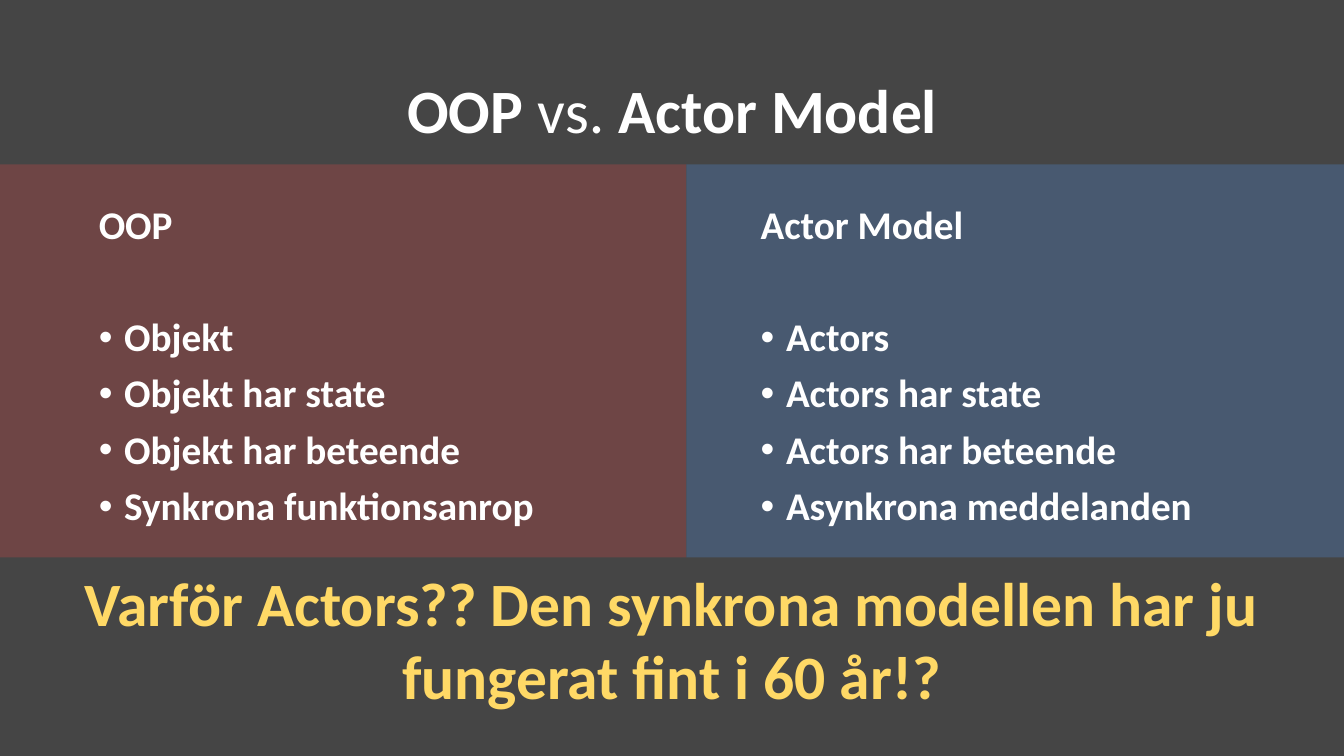
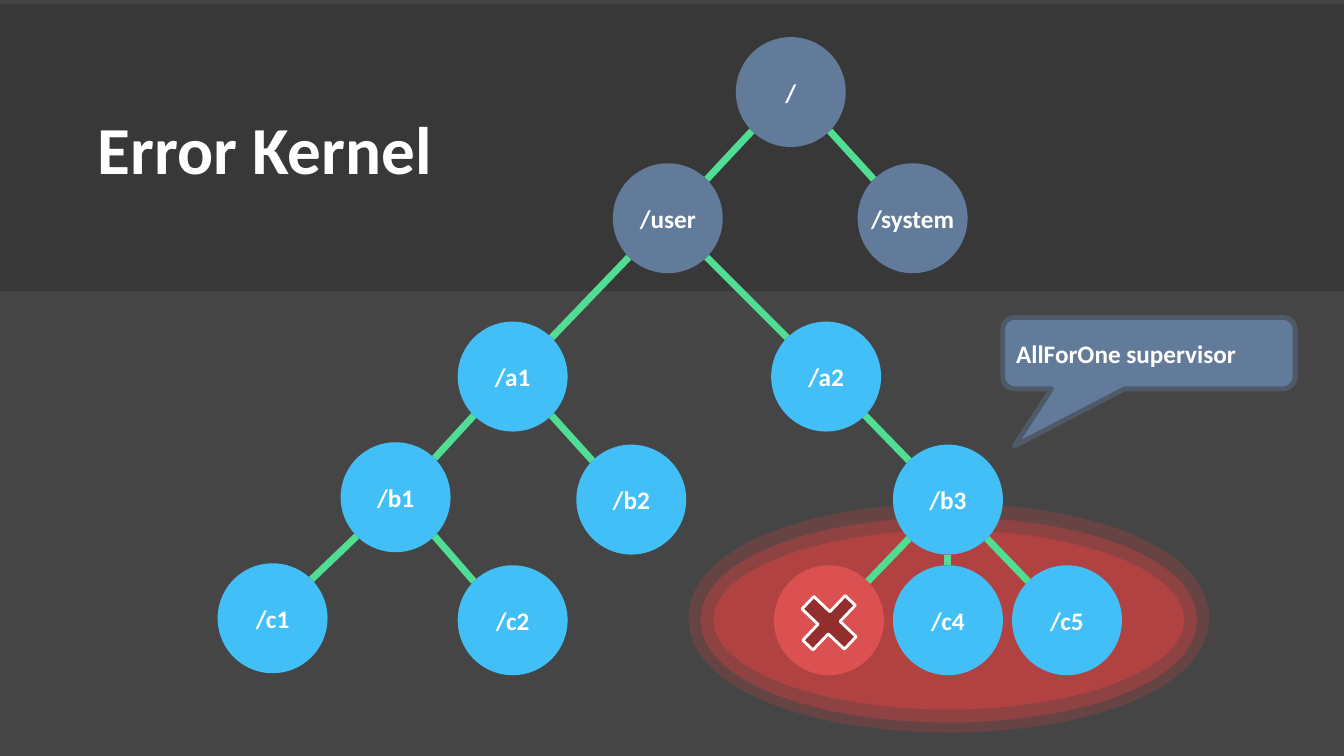
from lxml import etree
from pptx import Presentation
from pptx.dml.color import RGBColor
from pptx.enum.shapes import MSO_CONNECTOR, MSO_SHAPE
from pptx.enum.text import MSO_ANCHOR, PP_ALIGN
from pptx.oxml.ns import qn
from pptx.util import Cm, Pt

RECT, OVAL, CROSS = MSO_SHAPE.RECTANGLE, MSO_SHAPE.OVAL, MSO_SHAPE.CROSS
CALLOUT = MSO_SHAPE.ROUNDED_RECTANGULAR_CALLOUT
STRAIGHT = MSO_CONNECTOR.STRAIGHT
LEFT, CENTER = PP_ALIGN.LEFT, PP_ALIGN.CENTER
TOP, MIDDLE = MSO_ANCHOR.TOP, MSO_ANCHOR.MIDDLE

FONT = "Calibri"
COLORS = {
    "background": "454545", "text": "FFFFFF", "question": "FFD966",
    "oop": "6E4545", "actor": "485970", "band": "262626",
    "system": "637B9B", "worker": "43BFF7", "link": "50DE94",
    "danger": "B04242", "failed": "DB5151", "cross": "922E2E",
    "callout_edge": "4F5A69",
}
SLIDE_W, SLIDE_H = 33.87, 19.05

# Slide 1 content; positions in cm
COMPARISON_TITLE = [("OOP ", True), ("vs. ", False), ("Actor Model", True)]
PANEL_TOP, PANEL_H = 4.14, 9.91
PANELS = [  # colour, left, width, text left, heading, points
    ("oop", 0, 17.3, 2.24, "OOP",
     ["Objekt", "Objekt har state", "Objekt har beteende",
      "Synkrona funktionsanrop"]),
    ("actor", 17.3, 16.57, 18.92, "Actor Model",
     ["Actors", "Actors har state", "Actors har beteende",
      "Asynkrona meddelanden"]),
]
QUESTION = "Varför Actors?? Den synkrona modellen har ju fungerat fint i 60 år!?"

# Slide 2 content; node centres in cm
KERNEL_TITLE = "Error Kernel"
SUPERVISOR = "AllForOne supervisor"
NODE_D = 2.77
FAILED = "/c3"
NODES = {
    "/": (19.93, 2.32, "system"),
    "/user": (16.83, 5.5, "system"),
    "/system": (23, 5.5, "system"),
    "/a1": (12.92, 9.49, "worker"),
    "/a2": (20.82, 9.49, "worker"),
    "/b1": (9.97, 12.53, "worker"),
    "/b2": (15.91, 12.59, "worker"),
    "/b3": (23.89, 12.59, "worker"),
    "/c1": (6.87, 15.58, "worker"),
    "/c2": (12.92, 15.63, "worker"),
    FAILED: (20.89, 15.63, "failed"),
    "/c4": (23.89, 15.63, "worker"),
    "/c5": (26.89, 15.63, "worker"),
}
CHILDREN = {
    "/": ["/user", "/system"],
    "/user": ["/a1", "/a2"],
    "/a1": ["/b1", "/b2"],
    "/a2": ["/b3"],
    "/b1": ["/c1", "/c2"],
    "/b3": [FAILED, "/c4", "/c5"],
}
DANGER_RINGS = [  # top, fill, line width, line opacity
    (13.36, "danger", 18.5, 54),
    (13.31, None, 35.75, 31),
]


def rgb(name):
    return RGBColor.from_string(COLORS[name])


def set_opacity(shape, percent, part):
    """Set the opacity of a shape's fill ("a:solidFill") or line ("a:ln/...")."""
    color = shape.element.spPr.find(
        "/".join(qn(tag) for tag in part.split("/")) + "/" + qn("a:srgbClr"))
    etree.SubElement(color, qn("a:alpha")).set("val", str(percent * 1000))


def add_shape(shapes, kind, box, fill=None, line=None, width=0):
    shape = shapes.add_shape(kind, *map(Cm, box))
    shape.shadow.inherit = False
    if fill:
        shape.fill.solid()
        shape.fill.fore_color.rgb = rgb(fill)
    else:
        shape.fill.background()
    if line:
        shape.line.color.rgb = rgb(line)
        shape.line.width = Pt(width)
    else:
        shape.line.fill.background()
    return shape


def add_runs(paragraph, runs, size, color="text", align=LEFT):
    paragraph.alignment = align
    for text, bold in runs:
        run = paragraph.add_run()
        run.text = text
        run.font.name, run.font.size, run.font.bold = FONT, Pt(size), bold
        run.font.color.rgb = rgb(color)


def add_text(slide, box, runs, size, color="text", align=LEFT, anchor=TOP):
    frame = slide.shapes.add_textbox(*map(Cm, box)).text_frame
    frame.word_wrap = True
    frame.vertical_anchor = anchor
    add_runs(frame.paragraphs[0], runs, size, color, align)
    return frame


def set_bullet(paragraph):
    props = paragraph._p.get_or_add_pPr()
    props.set("marL", str(Cm(0.64)))
    props.set("indent", str(-Cm(0.64)))
    etree.SubElement(props, qn("a:buFont")).set("typeface", "Arial")
    etree.SubElement(props, qn("a:buChar")).set("char", "•")


def add_link(slide, parent, child):
    """Join two nodes at their facing diagonal, or vertical, edge points."""
    (x1, y1, _), (x2, y2, _) = NODES[parent], NODES[child]
    side = (x2 > x1) - (x2 < x1)
    reach = NODE_D / 2 * (0.5 ** 0.5 if side else 1)
    ends = (x1 + side * reach, y1 + reach, x2 - side * reach, y2 - reach)
    link = slide.shapes.add_connector(STRAIGHT, *map(Cm, ends))
    link.line.color.rgb = rgb("link")
    link.line.width = Pt(5)
    etree.SubElement(link.element.spPr, qn("a:effectLst"))


def add_node(shapes, name):
    x, y, color = NODES[name]
    box = (x - NODE_D / 2, y - NODE_D / 2, NODE_D, NODE_D)
    return add_shape(shapes, OVAL, box, color)


def build_comparison(slide):
    for color, left, width, text_left, heading, points in PANELS:
        add_shape(slide.shapes, RECT, (left, PANEL_TOP, width, PANEL_H), color)
        frame = add_text(slide, (text_left, 5.05, 12.04, 12.09),
                         [(heading, True)], 28)
        frame.paragraphs[0].line_spacing = 0.9
        for i, point in enumerate(points):
            paragraph = frame.add_paragraph()
            paragraph.line_spacing = 0.9
            paragraph.space_before = Pt(10 if i else 50)
            set_bullet(paragraph)
            add_runs(paragraph, [(point, True)], 28)
    title = add_text(slide, (2.34, 1.02, 29.21, 3.68), COMPARISON_TITLE, 44,
                     align=CENTER, anchor=MIDDLE)
    title.paragraphs[0].line_spacing = 0.9
    add_text(slide, (0, 14.1, SLIDE_W, 4.01), [(QUESTION, True)], 44,
             "question", CENTER)


def build_kernel(slide):
    shapes = slide.shapes
    # Danger zone and title band
    for top, fill, width, opacity in DANGER_RINGS:
        ring = add_shape(shapes, OVAL, (17.98, top, 11.86, 4.52), fill,
                         "danger", width)
        set_opacity(ring, opacity, "a:ln/a:solidFill")
    band = add_shape(shapes, RECT, (0, 0.1, SLIDE_W, 7.24), "band")
    set_opacity(band, 40, "a:solidFill")
    add_text(slide, (2.21, 2.57, 9.35, 2.31), [(KERNEL_TITLE, True)], 48)

    # Actor tree
    for parent, children in CHILDREN.items():
        for child in children:
            add_link(slide, parent, child)
    for name in NODES:
        if name != FAILED:
            frame = add_node(shapes, name).text_frame
            frame.word_wrap = False
            frame.vertical_anchor = MIDDLE
            add_runs(frame.paragraphs[0], [(name, True)], 18, align=CENTER)

    # Failed actor
    failed = shapes.add_group_shape().shapes
    add_node(failed, FAILED)
    cross = add_shape(failed, CROSS, (20.12, 14.96, 1.55, 1.47), "cross",
                      "text", 2)
    cross.adjustments[0] = 0.38
    cross.rotation = 313.5

    # Supervisor callout
    callout = add_shape(shapes, CALLOUT, (25.27, 8, 7.37, 1.8), "system",
                        "callout_edge", 3.5)
    for i, value in enumerate((-0.46, 1.3, 0.17)):
        callout.adjustments[i] = value
    callout.text_frame.vertical_anchor = MIDDLE
    add_runs(callout.text_frame.paragraphs[0], [(SUPERVISOR, True)], 18)


def main():
    prs = Presentation()
    prs.slide_width, prs.slide_height = Cm(SLIDE_W), Cm(SLIDE_H)
    backdrop = prs.slide_master.background.fill
    backdrop.solid()
    backdrop.fore_color.rgb = rgb("background")
    for build in (build_comparison, build_kernel):
        build(prs.slides.add_slide(prs.slide_layouts[6]))
    prs.save("out.pptx")


if __name__ == "__main__":
    main()
